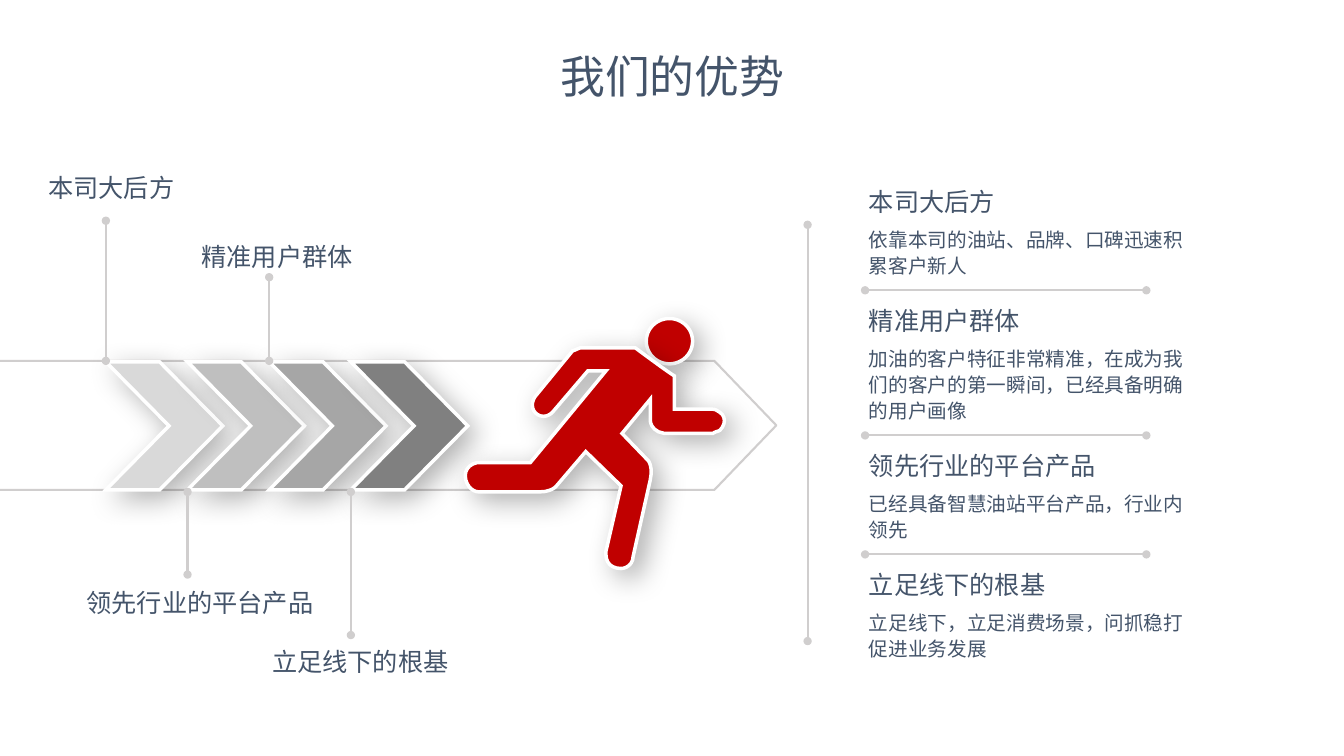
from lxml.etree import SubElement
from pptx import Presentation
from pptx.dml.color import RGBColor
from pptx.enum.shapes import MSO_CONNECTOR, MSO_SHAPE
from pptx.enum.text import MSO_ANCHOR, MSO_AUTO_SIZE, PP_ALIGN
from pptx.oxml.ns import qn
from pptx.util import Pt

PX = 9144  # EMU per px, 100 px to the inch
FONT = "Noto Sans CJK SC"
SLATE = RGBColor(0x44, 0x54, 0x6A)
LINE_GREY = RGBColor(0xD0, 0xCE, 0xCE)
WHITE = RGBColor(0xFF, 0xFF, 0xFF)
RED = RGBColor(0xC0, 0x00, 0x00)
CHEVRON_GREYS = [RGBColor(level, level, level) for level in (0xD9, 0xBF, 0xA6, 0x80)]

CHEVRON_LEFT, CHEVRON_PITCH = 105, 81

# Callouts, one per chevron: label, label left, label top, line start, line end
CALLOUTS = [
    ("本司大后方", 38, 169, 219, 358),
    ("领先行业的平台产品", 76, 581, 570, 488),
    ("精准用户群体", 190, 238, 275, 358),
    ("立足线下的根基", 260, 640, 630, 488),
]

# Advantages: heading, top, description, description height
ADVANTAGES = [
    ("本司大后方", 183, "依靠本司的油站、品牌、口碑迅速积累客户新人", 60),
    ("精准用户群体", 301,
     "加油的客户特征非常精准，在成为我们的客户的第一瞬间，已经具备明确的用户画像", 86),
    ("领先行业的平台产品", 445, "已经具备智慧油站平台产品，行业内领先", 62),
    ("立足线下的根基", 563, "立足线下，立足消费场景，问抓稳打促进业务发展", 62),
]

# Runner's body: pairs are corners, sixes are curves (two controls and an end)
RUNNER_START = (473, 459)
RUNNER_OUTLINE = [
    (473, 459, 475, 459, 477, 459), (526, 459), (601, 368), (583, 368), (548, 409),
    (546, 411, 543, 413, 539, 413), (533, 413, 528, 408, 528, 402),
    (528, 398, 530, 394, 532, 392), (568, 348), (572, 347, 574, 345, 577, 345),
    (630, 345), (630, 345, 665, 371, 669, 373), (669, 406), (707, 406),
    (710, 406, 712, 408, 714, 409), (720, 413, 720, 421, 714, 427),
    (712, 428, 710, 428, 707, 430), (659, 430), (645, 428, 645, 417, 645, 417),
    (645, 396), (617, 430), (643, 457), (643, 457, 648, 463, 645, 476),
    (628, 552), (628, 560, 621, 564, 616, 564), (606, 564, 601, 558, 601, 550),
    (601, 548, 601, 547, 601, 547), (616, 482), (581, 448), (552, 482),
    (552, 482, 548, 488, 535, 488), (475, 488), (470, 488, 464, 484, 462, 476),
    (460, 468, 464, 461, 473, 459),
]


def scaled(*lengths):
    return [length * PX for length in lengths]


def add_run(paragraph, text, size):
    run = paragraph.add_run()
    run.text = text
    run.font.size = Pt(size)
    run.font.name = FONT
    run.font.color.rgb = SLATE
    SubElement(run.font._element, qn("a:ea"), typeface=FONT)


def add_text(slide, text, left, top, width, height, size, spacing, wrap):
    box = slide.shapes.add_textbox(*scaled(left, top, width, height))
    frame = box.text_frame
    frame.word_wrap = wrap
    frame.auto_size = MSO_AUTO_SIZE.SHAPE_TO_FIT_TEXT
    paragraph = frame.paragraphs[0]
    paragraph.line_spacing = spacing
    add_run(paragraph, text, size)


def add_label(slide, text, left, top):
    add_text(slide, text, left, top, 25 * len(text) + 21, 37, 18, 0.9, False)


def add_dotted_line(slide, x1, y1, x2, y2):
    connector = slide.shapes.add_connector(
        MSO_CONNECTOR.STRAIGHT, *scaled(x1, y1, x2, y2))
    connector.line.color.rgb = LINE_GREY
    connector.line.width = Pt(1.5)
    properties = connector._element.spPr
    for end in ("a:headEnd", "a:tailEnd"):
        SubElement(properties.find(qn("a:ln")), qn(end), type="oval")
    SubElement(properties, qn("a:effectLst"))


def style_raised(shape, color):
    """Solid fill, white outline and a soft shadow to the lower right."""
    shape.fill.solid()
    shape.fill.fore_color.rgb = color
    shape.line.color.rgb = WHITE
    shape.line.width = Pt(2.5)
    shape.shadow.inherit = False
    properties = shape._element.spPr
    SubElement(properties.find(qn("a:ln")), qn("a:miter"), lim="800000")
    shadow = SubElement(properties.find(qn("a:effectLst")), qn("a:outerShdw"),
                        blurRad=str(Pt(20)), dist=str(Pt(8)), dir="2700000",
                        algn="tl", rotWithShape="0")
    shadow_color = SubElement(shadow, qn("a:srgbClr"), val="000000")
    SubElement(shadow_color, qn("a:alpha"), val="30000")


def curve_points(start, curve, steps=6):
    x0, y0 = start
    x1, y1, x2, y2, x3, y3 = curve
    points = []
    for step in range(1, steps + 1):
        t = step / steps
        a, b, c, d = (1 - t) ** 3, 3 * t * (1 - t) ** 2, 3 * t * t * (1 - t), t ** 3
        points.append((a * x0 + b * x1 + c * x2 + d * x3,
                       a * y0 + b * y1 + c * y2 + d * y3))
    return points


def add_title(slide):
    title = slide.shapes.title
    title.left, title.top, title.width, title.height = scaled(329, 45, 676, 59)
    frame = title.text_frame
    frame.auto_size = MSO_AUTO_SIZE.NONE
    frame.vertical_anchor = MSO_ANCHOR.MIDDLE
    frame.margin_left, frame.margin_right = scaled(5, 5)
    frame.margin_top, frame.margin_bottom = scaled(2, 2)
    paragraph = frame.paragraphs[0]
    paragraph.alignment = PP_ALIGN.CENTER
    add_run(paragraph, "我们的优势", 32)


def add_track(slide):
    track = slide.shapes.add_shape(MSO_SHAPE.PENTAGON, *scaled(-7, 358, 777, 128))
    track.adjustments[0] = 0.48
    track.fill.background()
    track.line.color.rgb = LINE_GREY
    track.line.width = Pt(1.5)
    track.shadow.inherit = False


def add_chevron(slide, index, color):
    left = CHEVRON_LEFT + index * CHEVRON_PITCH
    chevron = slide.shapes.add_shape(MSO_SHAPE.CHEVRON, *scaled(left, 359, 116, 127))
    chevron.adjustments[0] = 0.54
    style_raised(chevron, color)


def add_runner(slide):
    group = slide.shapes.add_group_shape()
    head = group.shapes.add_shape(MSO_SHAPE.OVAL, *scaled(641, 316, 46, 45))
    style_raised(head, RED)
    points = [RUNNER_START]
    for segment in RUNNER_OUTLINE:
        if len(segment) == 2:
            points.append(segment)
        else:
            points.extend(curve_points(points[-1], segment))
    builder = group.shapes.build_freeform(*scaled(*RUNNER_START), scale=1.0)
    builder.add_line_segments([scaled(*point) for point in points[1:]], close=True)
    style_raised(builder.convert_to_shape(), RED)


def main():
    presentation = Presentation()
    presentation.slide_width, presentation.slide_height = scaled(1333, 750)
    slide = presentation.slides.add_slide(presentation.slide_layouts[5])
    add_title(slide)

    # Track, chevrons and runner
    add_track(slide)
    for index, color in enumerate(CHEVRON_GREYS):
        add_chevron(slide, index, color)
    add_runner(slide)

    # Callouts on the chevrons
    for index, (label, left, top, start, end) in enumerate(CALLOUTS):
        x = CHEVRON_LEFT + index * CHEVRON_PITCH
        add_dotted_line(slide, x, start, x, end)
        add_label(slide, label, left, top)

    # Advantages on the right, with dividers between them
    add_dotted_line(slide, 801, 223, 801, 636)
    for index, (heading, top, description, height) in enumerate(ADVANTAGES):
        if index:
            add_dotted_line(slide, 858, top - 13, 1137, top - 13)
        add_label(slide, heading, 852, top)
        add_text(slide, description, 852, top + 36, 345, height, 14, 1.1, True)

    presentation.save("out.pptx")


if __name__ == "__main__":
    main()
